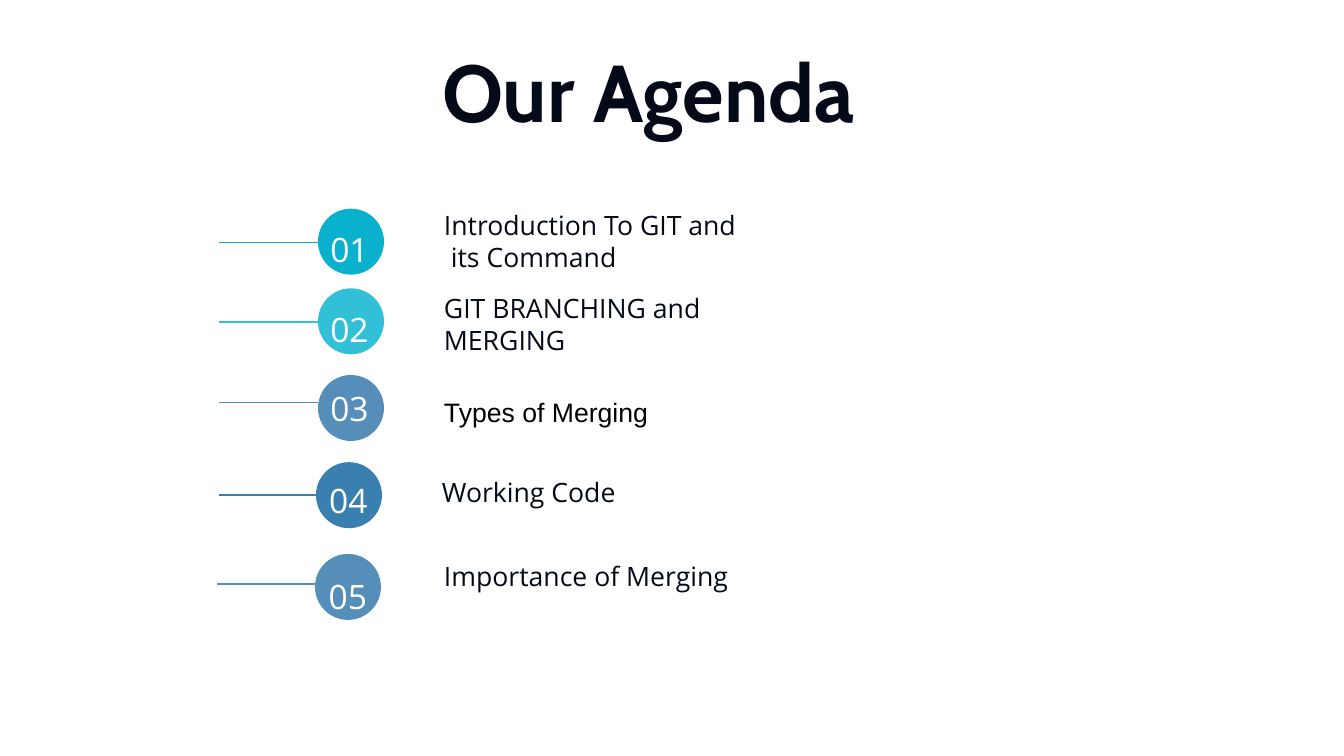
import pptx
import pptx.dml.color
import pptx.enum.shapes
import pptx.enum.text
import pptx.oxml.ns
import pptx.util
from lxml import etree

Inches = pptx.util.Inches
Align = pptx.enum.text.PP_ALIGN

THEME = {
    "ink": "050A19",
    "black": "000000",
    "white": "FFFFFF",
    "cyan": "09B1CC",
    "light_cyan": "32C0D8",
    "steel": "558EB9",
    "blue": "397FB0",
    "title_font": "Cabin",
    "body_font": "Open Sans",
    "plain_font": "Arial",
    "title_size": 115,
    "number_size": 48,
    "item_size": 38,
    "line_width": 2.25,
}


def color(name):
    return pptx.dml.color.RGBColor.from_string(THEME[name])


def write_text(shape, text, font, size, ink, alignment, bold=False, spacing=None):
    frame = shape.text_frame
    frame_format = {
        "margin_left": 0, "margin_top": 0, "margin_right": 0, "margin_bottom": 0,
        "word_wrap": True,
        "auto_size": pptx.enum.text.MSO_AUTO_SIZE.NONE,
        "vertical_anchor": pptx.enum.text.MSO_ANCHOR.TOP,
    }
    for name, value in frame_format.items():
        setattr(frame, name, value)
    paragraph = frame.paragraphs[0]
    paragraph.text = text
    paragraph.alignment = alignment
    paragraph.line_spacing = spacing
    font_format = {"name": THEME[font], "size": pptx.util.Pt(THEME[size]), "bold": bold}
    for run in paragraph.runs:
        for name, value in font_format.items():
            setattr(run.font, name, value)
        run.font.color.rgb = color(ink)


presentation = pptx.Presentation()
presentation.slide_width = Inches(26.67)
presentation.slide_height = Inches(15)
slide = presentation.slides.add_slide(presentation.slide_layouts[5])
shapes = slide.shapes

# Title
title = shapes.title
title_box = {"left": 7.42, "top": 0.83, "width": 10.89, "height": 1.96}
for name, value in title_box.items():
    setattr(title, name, Inches(value))
write_text(title, "Our Agenda", "title_font", "title_size", "ink", Align.CENTER, bold=True)

# Agenda rows: colour, circle left and top, line left and y, number left and top,
# item left, top, width and height, item font and ink, item text
rows = [
    ("cyan", (6.31, 4.14), (4.35, 4.81), (6.42, 4.39), (8.81, 4.14, 5.87, 1.48),
     "body_font", "ink", "Introduction To GIT and\v its Command"),
    ("light_cyan", (6.31, 5.72), (4.35, 6.39), (6.42, 5.97), (8.81, 5.8, 5.44, 1.42),
     "body_font", "ink", "GIT BRANCHING and MERGING"),
    ("steel", (6.31, 7.44), (4.35, 7.99), (6.42, 7.54), (8.81, 7.85, 6.29, 0.64),
     "plain_font", "black", "Types of Merging"),
    ("blue", (6.27, 9.17), (4.35, 9.82), (6.4, 9.36), (8.77, 9.44, 5.44, 0.64),
     "body_font", "ink", "Working Code"),
    ("steel", (6.25, 10.99), (4.31, 11.59), (6.39, 11.27), (8.81, 11.11, 6.29, 0.64),
     "body_font", "ink", "Importance of Merging"),
]
DIAMETER = Inches(1.31)
LINE_LENGTH = 1.96
NUMBER_SIZE = (1.03, 0.97)

for index, (accent, circle_at, line_at, number_at, item_box, font, ink, text) in enumerate(rows, 1):
    # Circle
    circle = shapes.add_shape(pptx.enum.shapes.MSO_SHAPE.OVAL,
                              *map(Inches, circle_at), DIAMETER, DIAMETER)
    circle.shadow.inherit = False
    circle.fill.solid()
    circle.fill.fore_color.rgb = color(accent)
    circle.line.fill.background()

    # Line leading into the circle
    line_left, line_y = line_at
    line = shapes.add_connector(pptx.enum.shapes.MSO_CONNECTOR.STRAIGHT,
                                Inches(line_left), Inches(line_y),
                                Inches(line_left + LINE_LENGTH), Inches(line_y))
    line.line.color.rgb = color(accent)
    line.line.width = pptx.util.Pt(THEME["line_width"])
    properties = line._element.spPr
    etree.SubElement(properties, pptx.oxml.ns.qn("a:effectLst"))

    # Number and item
    number = shapes.add_textbox(*map(Inches, number_at + NUMBER_SIZE))
    write_text(number, f"{index:02}", "body_font", "number_size", "white",
               Align.CENTER, spacing=1.2)
    item = shapes.add_textbox(*map(Inches, item_box))
    write_text(item, text, font, "item_size", ink, Align.LEFT)

presentation.save("out.pptx")
